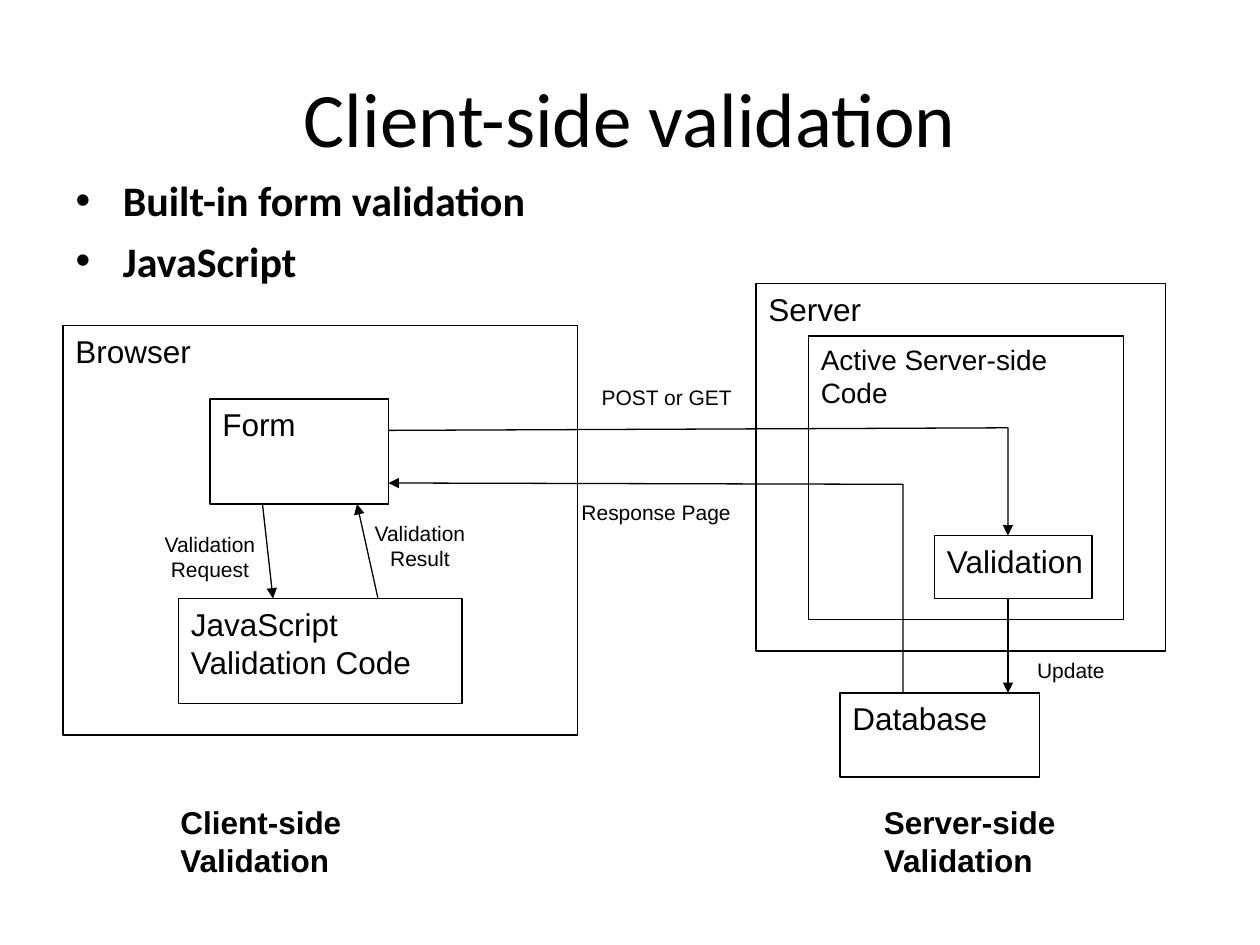
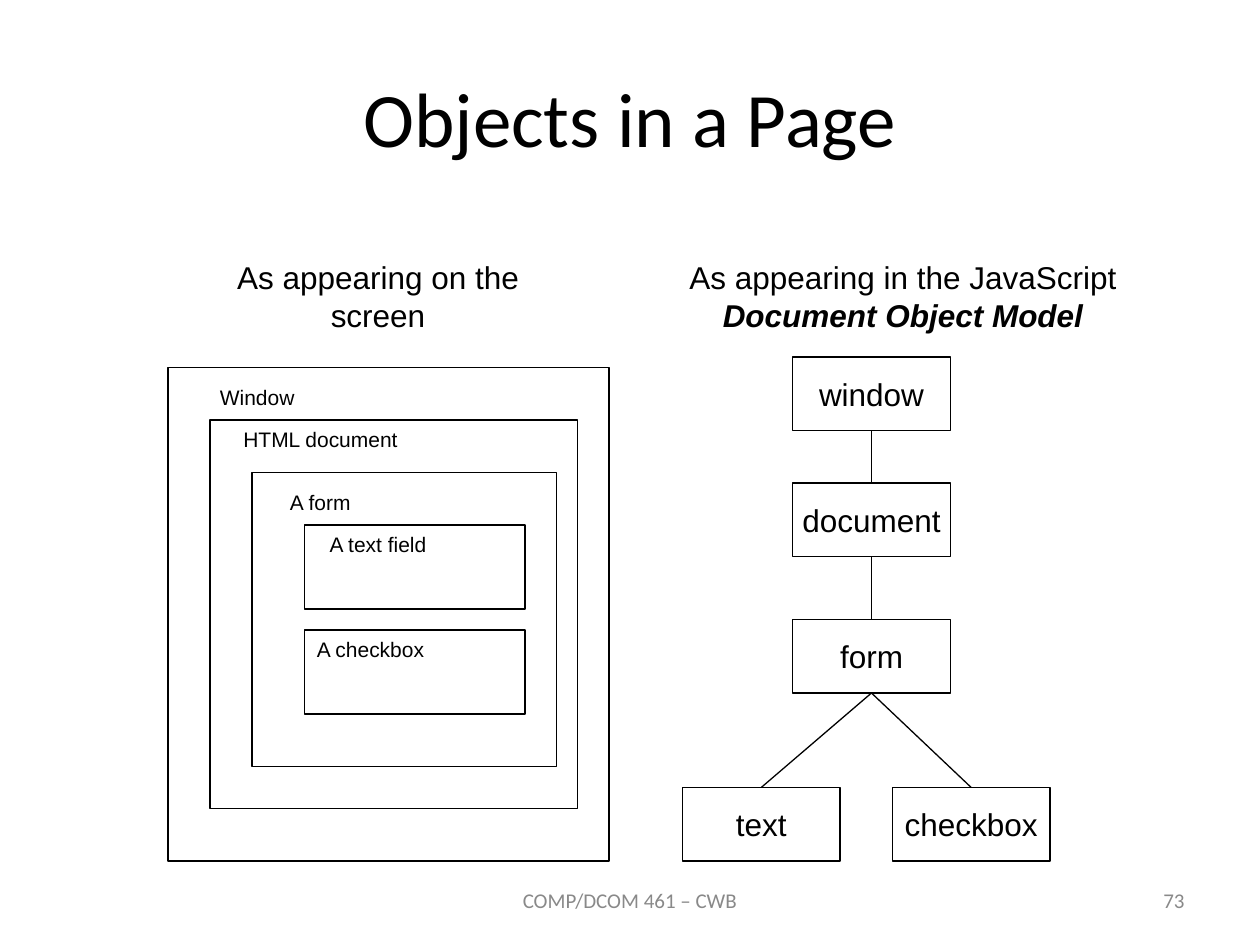
"""Builds two slides on client-side validation and the objects in a page."""
from pptx import Presentation
from pptx.dml.color import RGBColor
from pptx.enum.shapes import MSO_CONNECTOR, MSO_SHAPE
from pptx.enum.text import MSO_ANCHOR, MSO_AUTO_SIZE, PP_ALIGN
from pptx.oxml.ns import qn
from pptx.oxml.xmlchemy import OxmlElement
from pptx.util import Pt

PX = 9525
LEFT, CENTER, RIGHT = PP_ALIGN.LEFT, PP_ALIGN.CENTER, PP_ALIGN.RIGHT
TOP, MIDDLE = MSO_ANCHOR.TOP, MSO_ANCHOR.MIDDLE
RECTANGLE, STRAIGHT = MSO_SHAPE.RECTANGLE, MSO_CONNECTOR.STRAIGHT
NO_AUTOFIT = MSO_AUTO_SIZE.NONE
COLORS = {"ink": "000000", "paper": "FFFFFF", "footer": "898989"}
HEADING_FONT, LABEL_FONT = "Calibri", "Arial"
TITLE_ONLY, TITLE_AND_BODY = 5, 1


def color(name):
    return RGBColor.from_string(COLORS[name])


def write(frame, text, emphasis="", size=18, font=LABEL_FONT, ink="ink", bold=None,
          align=LEFT, anchor=TOP, wrap=True, gap=0, hanging=0):
    frame.word_wrap = wrap
    frame.auto_size = NO_AUTOFIT
    frame.vertical_anchor = anchor
    for number, line in enumerate(text.split("\n")):
        paragraph = frame.add_paragraph() if number else frame.paragraphs[0]
        paragraph.alignment = align
        paragraph.space_before = Pt(gap if number else 0)
        if hanging:
            properties = paragraph._p.get_or_add_pPr()
            properties.set("marL", str(hanging * PX))
            properties.set("indent", str(-hanging * PX))
        run = paragraph.add_run()
        run.text = line
        run.font.bold = bold
    if emphasis:
        run = paragraph.add_run()
        run.text = emphasis
        run.font.bold = run.font.italic = True
    for paragraph in frame.paragraphs:
        for run in paragraph.runs:
            run.font.name, run.font.size = font, Pt(size)
            run.font.color.rgb = color(ink)


class Deck:
    """Holds the presentation, its shared style and the current slide."""

    def __init__(self):
        self.presentation = Presentation()
        self.presentation.slide_width = 960 * PX
        self.presentation.slide_height = 720 * PX
        self.slide = None

    def add_slide(self, title, layout=TITLE_ONLY):
        layouts = self.presentation.slide_layouts
        self.slide = self.presentation.slides.add_slide(layouts[layout])
        self.placeholder(0, (48, 29, 864, 120), title, size=44, align=CENTER, anchor=MIDDLE)

    def placeholder(self, index, place, text, **style):
        shape = self.slide.placeholders[index]
        shape.left, shape.top, shape.width, shape.height = (value * PX for value in place)
        write(shape.text_frame, text, font=HEADING_FONT, **style)

    def outline(self, shape, arrow=False):
        shape.line.color.rgb = color("ink")
        shape.line.width = PX
        if arrow:
            head = OxmlElement("a:tailEnd")
            head.set("type", "triangle")
            shape.element.spPr.find(qn("a:ln")).append(head)

    def box(self, place, text="", **style):
        shape = self.slide.shapes.add_shape(RECTANGLE, *(value * PX for value in place))
        shape.shadow.inherit = False
        shape.fill.background()
        self.outline(shape)
        if text:
            write(shape.text_frame, text, wrap=False, **style)

    def label(self, place, text, fill=None, **style):
        shape = self.slide.shapes.add_textbox(*(value * PX for value in place))
        if fill:
            shape.fill.solid()
            shape.fill.fore_color.rgb = color(fill)
        write(shape.text_frame, text, **style)

    def small_label(self, left, top, width, text, align=CENTER, height=29):
        self.label((left, top, width, height), text, size=12, align=align)

    def line(self, start, end, arrow=False):
        points = (value * PX for value in start + end)
        connector = self.slide.shapes.add_connector(STRAIGHT, *points)
        self.outline(connector, arrow)
        connector.element.spPr.append(OxmlElement("a:effectLst"))

    def bent_arrow(self, start, *points):
        builder = self.slide.shapes.build_freeform(*start, scale=PX)
        builder.add_line_segments(points, close=False)
        shape = builder.convert_to_shape()
        shape.shadow.inherit = False
        shape.fill.background()
        self.outline(shape, arrow=True)

    def footer(self, text, number):
        for left, width, content, align in ((328, 304, text, CENTER), (688, 224, number, RIGHT)):
            self.label((left, 667, width, 38), content, size=12, font=HEADING_FONT,
                       ink="footer", align=align, anchor=MIDDLE)


def validation_slide(deck):
    deck.add_slide("Client-side validation", TITLE_AND_BODY)
    deck.placeholder(1, (48, 128, 864, 515), "Built-in form validation\nJavaScript",
                     size=24, bold=True, gap=6, hanging=36)
    for place, text, size in (
            ((48, 248, 392, 312), "Browser", 18),
            ((576, 216, 312, 280), "Server", 18),
            ((160, 304, 136, 80), "Form", 18),
            ((136, 456, 216, 80), "JavaScript\nValidation Code", 18),
            ((616, 256, 240, 216), "Active Server-side\nCode", 16),
            ((640, 528, 152, 64), "Database", 18),
            ((712, 408, 120, 48), "Validation", 18)):
        deck.box(place, text, size=size)
    for start, end in (((200, 384), (208, 456)), ((288, 456), (272, 384)),
                       ((768, 456), (768, 528))):
        deck.line(start, end, arrow=True)
    deck.bent_arrow((296, 328), (768, 326), (768, 408))
    deck.bent_arrow((688, 528), (688, 369), (296, 368))
    deck.small_label(112, 400, 96, "Validation Request", height=48)
    deck.small_label(272, 392, 96, "Validation Result", height=48)
    deck.small_label(440, 288, 136, "POST or GET")
    deck.small_label(432, 376, 136, "Response Page")
    deck.small_label(768, 496, 96, "Update")
    for left, side in ((128, "Client"), (664, "Server")):
        deck.label((left, 607, 208, 67), f"{side}-side Validation", bold=True)


def page_objects_slide(deck):
    deck.add_slide("Objects in a Page")
    deck.footer("COMP/DCOM 461 – CWB", "73")
    for place in ((128, 280, 336, 376), (160, 320, 280, 296), (192, 360, 232, 224),
                  (232, 400, 168, 64), (232, 480, 168, 64)):
        deck.box(place)
    deck.small_label(144, 288, 104, "Window")
    deck.small_label(176, 320, 248, "HTML document", LEFT)
    deck.small_label(208, 368, 72, "A form")
    deck.small_label(232, 400, 112, "A text field")
    deck.small_label(232, 480, 152, "A checkbox", LEFT)
    deck.label((152, 192, 272, 67), "As appearing on the screen", align=CENTER)

    width, height = 120, 56
    nodes = {"window": (664, 272), "document": (664, 368), "form": (664, 472),
             "text": (580, 600), "checkbox": (740, 600)}
    for name, (center, top) in nodes.items():
        deck.box((center - width // 2, top, width, height), name, align=CENTER, anchor=MIDDLE)
    for parent, child in (("window", "document"), ("document", "form"),
                          ("form", "text"), ("form", "checkbox")):
        center, top = nodes[parent]
        deck.line((center, top + height), nodes[child])
    deck.label((512, 192, 352, 67), "As appearing in the JavaScript ",
               emphasis="Document Object Model", fill="paper", align=CENTER)


def main():
    deck = Deck()
    validation_slide(deck)
    page_objects_slide(deck)
    deck.presentation.save("out.pptx")


if __name__ == "__main__":
    main()
